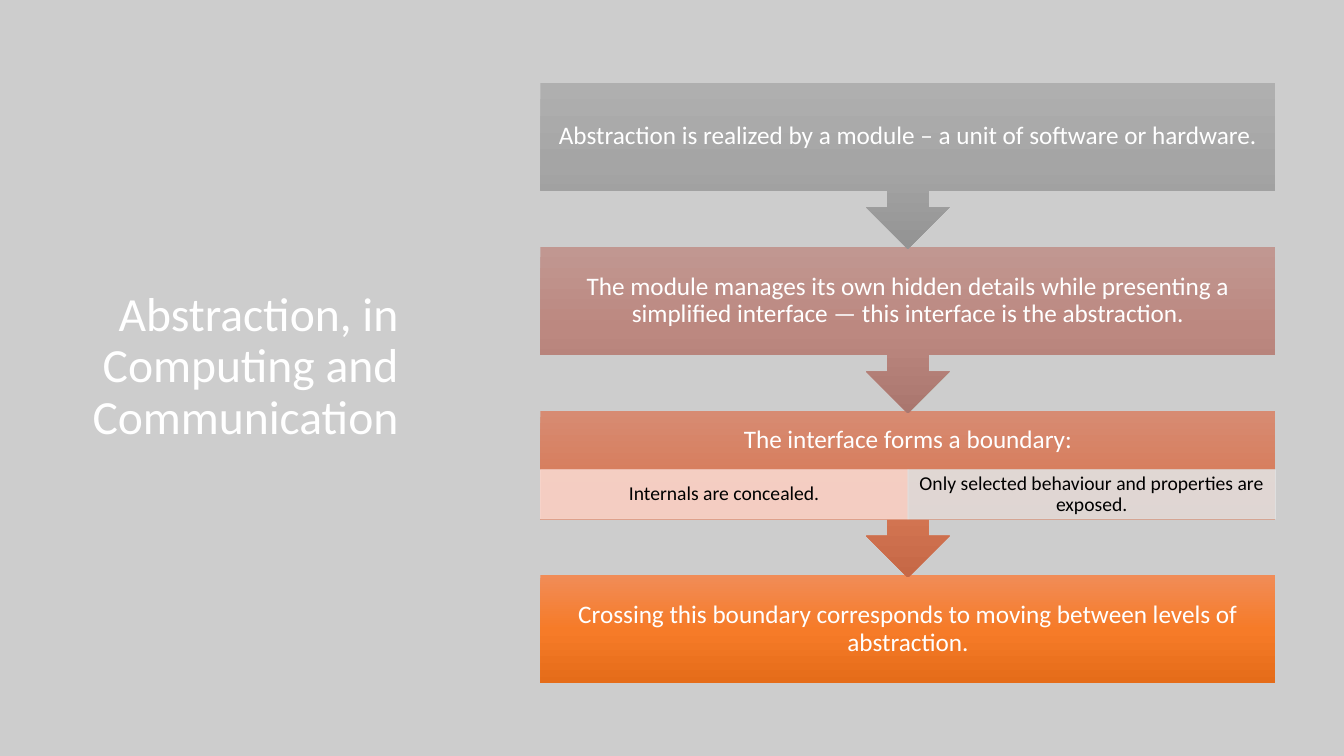
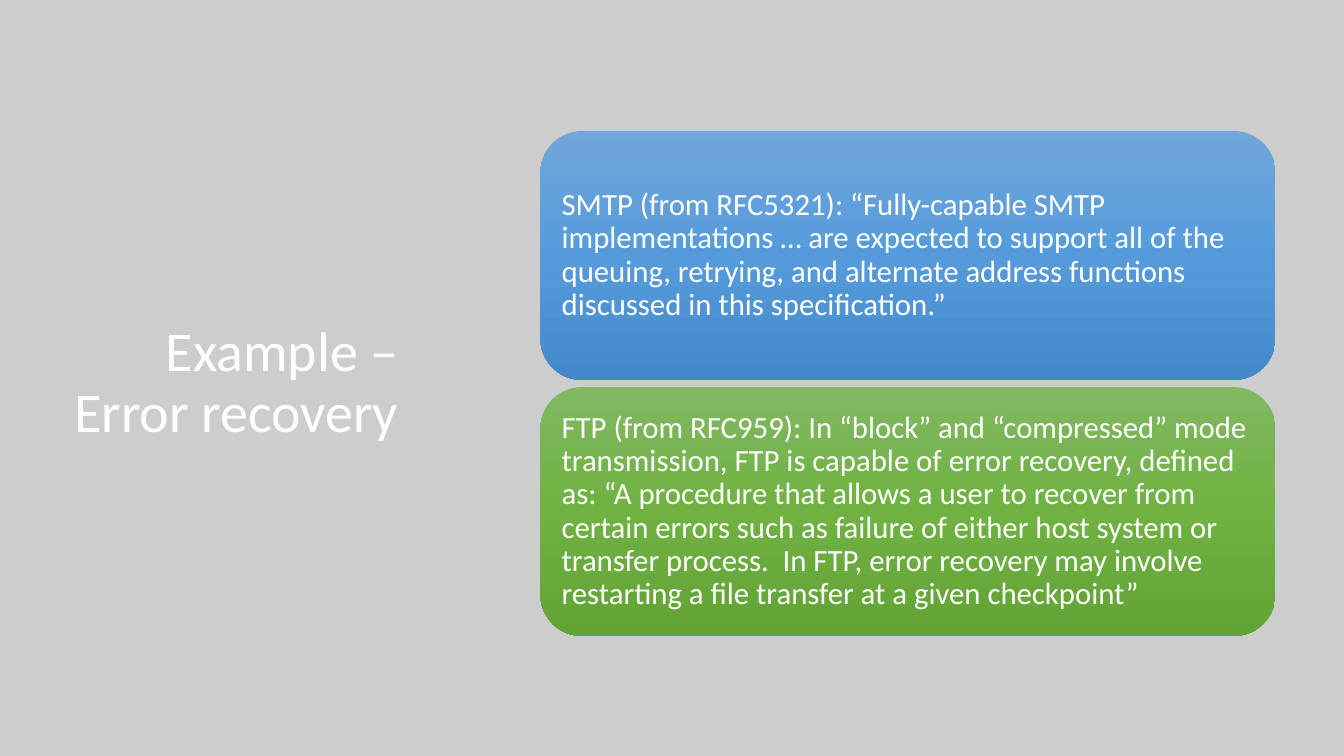
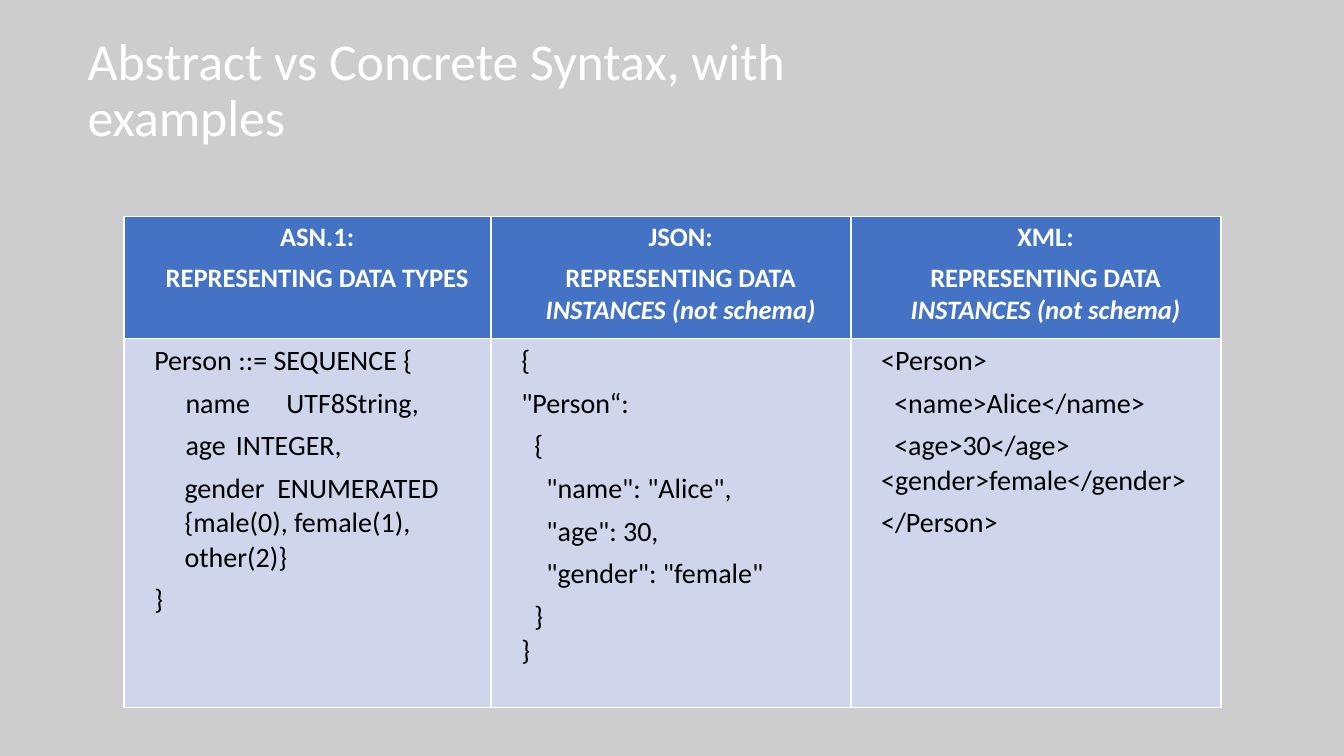
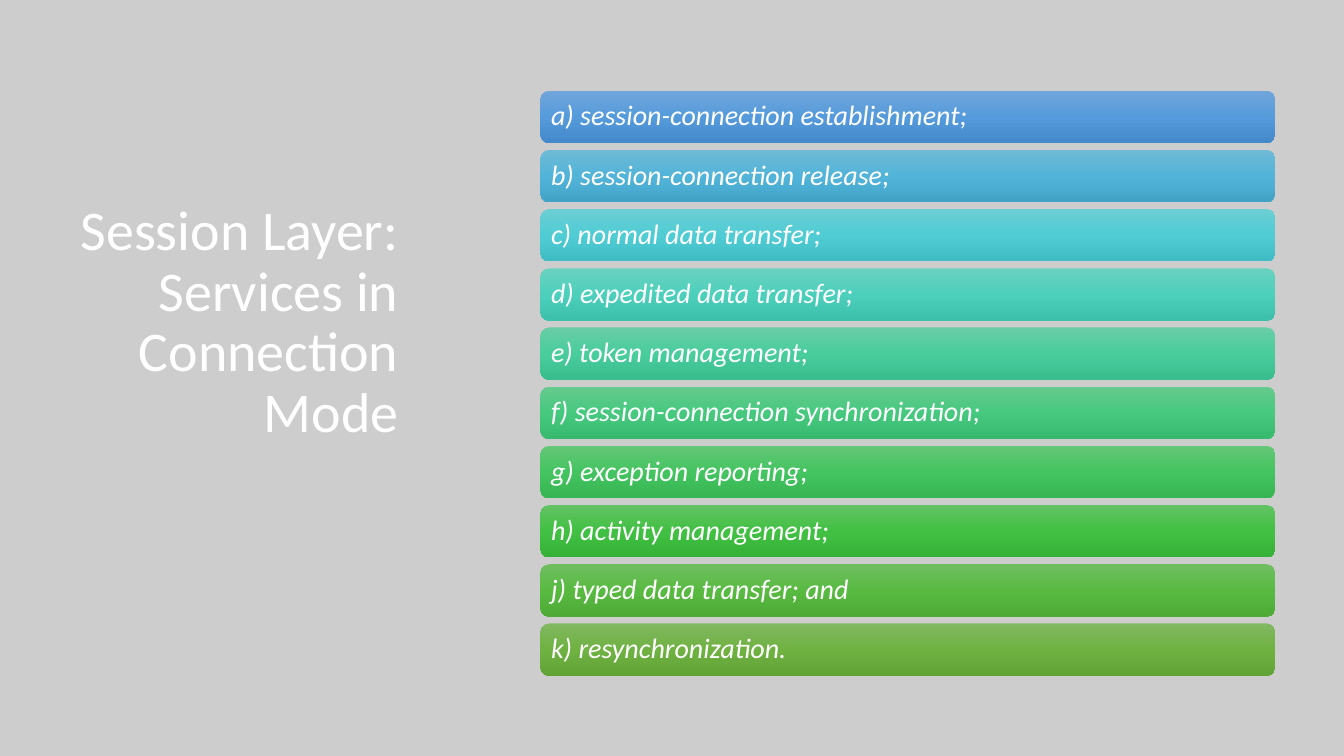
from copy import deepcopy

from lxml.etree import SubElement
from pptx import Presentation
from pptx.dml.color import RGBColor
from pptx.enum.shapes import MSO_SHAPE
from pptx.enum.text import MSO_ANCHOR, PP_ALIGN
from pptx.oxml.ns import qn
from pptx.util import Inches, Pt


class Theme:
    font = "Calibri"
    back, white, black = "CDCDCD", "FFFFFF", "000000"
    head, body = "4472C4", "CFD5EA"
    peach, mist = "F8D7CE", "E1E1E1"
    grey = "AFAFAF A5A5A5 939393"
    rose = "C19791 BC8880 AA766E"
    clay = "D78B72 D77956 C66846"
    orange = "F18C57 F67B28 E56C19"
    blue = "71A6DB 559BDB 448ACA"
    green = "81B861 6FB242 62A336"
    title, title_long, title_wide = 40, 34, 37
    step, detail, quote, item, cell_head, cell = 18, 14, 22, 20, 19, 20


# Slide size; every place below is in percent of it
W, H = 13.33, 7.5
prs = Presentation()
prs.slide_width, prs.slide_height = Inches(W), Inches(H)
bg = prs.slide_master.background.fill
bg.solid()
bg.fore_color.rgb = RGBColor.from_string(Theme.back)

PANEL_X, PANEL_W = 40.21, 54.69
TITLE_BOX = (4.8, 24.53, 25.58, 34.93)
TITLE = {"align": PP_ALIGN.RIGHT, "anchor": MSO_ANCHOR.BOTTOM, "insets": (0.1, 0.05, 0.1, 0.05)}
CENTRED = {"align": PP_ALIGN.CENTER, "anchor": MSO_ANCHOR.MIDDLE, "insets": (0.14,) * 4}


def set_format(obj, **values):
    for name, value in values.items():
        setattr(obj, name, value)


def add_block(s, kind, place, text, size, look, fill="", color=Theme.white, italic=False):
    """Add a shape, or a text box when kind is None, with one paragraph."""
    x, y, w, h = place
    at = [Inches(v / 100) for v in (x * W, y * H, w * W, h * H)]
    if kind is None:
        sp = s.shapes.add_textbox(*at)
    else:
        sp = s.shapes.add_shape(kind, *at)
        sp.shadow.inherit = False
        sp.line.fill.background()
        stops = fill.split()
        if len(stops) == 1:
            sp.fill.solid()
            sp.fill.fore_color.rgb = RGBColor.from_string(fill)
        else:
            sp.fill.gradient()
            sp.fill.gradient_angle = 270
            gs = sp._element.spPr.find(".//" + qn("a:gsLst"))
            gs.insert(1, deepcopy(gs[0]))
            for i, stop in enumerate(sp.fill.gradient_stops):
                stop.color.rgb = RGBColor.from_string(stops[i])
                stop.position = i / 2
    tf = sp.text_frame
    left, top, right, bottom = [Inches(v) for v in look["insets"]]
    set_format(tf, word_wrap=True, vertical_anchor=look["anchor"], margin_left=left,
               margin_top=top, margin_right=right, margin_bottom=bottom)
    p = tf.paragraphs[0]
    set_format(p, alignment=look["align"], line_spacing=0.9)
    r = p.add_run()
    r.text = text
    set_format(r.font, name=Theme.font, size=Pt(size), italic=italic)
    r.font.color.rgb = RGBColor.from_string(color)
    return sp


# Slide 1: steps joined by arrow callouts, drawn from the bottom up
s = prs.slides.add_slide(prs.slide_layouts[6])
add_block(s, None, TITLE_BOX, "Abstraction, in Computing and Communication", Theme.title_long, TITLE)
STEP_Y, STEP_PITCH, STEP_H, CALLOUT_H = 10.93, 21.73, 14.27, 22
DETAIL_Y, DETAIL_H = 62.13, 6.53
steps = [
    ("Abstraction is realized by a module – a unit of software or hardware.", Theme.grey),
    ("The module manages its own hidden details while presenting a simplified interface"
     " — this interface is the abstraction.", Theme.rose),
    ("The interface forms a boundary:", Theme.clay),
    ("Crossing this boundary corresponds to moving between levels of abstraction.", Theme.orange),
]
raised = {**CENTRED, "insets": (0.14, 0.14, 0.14, 0.63)}
for i, (text, fill) in reversed(list(enumerate(steps))):
    last = i == len(steps) - 1
    kind = MSO_SHAPE.RECTANGLE if last else MSO_SHAPE.DOWN_ARROW_CALLOUT
    place = (PANEL_X, STEP_Y + i * STEP_PITCH, PANEL_W, STEP_H if last else CALLOUT_H)
    add_block(s, kind, place, text, Theme.step, raised if i == 2 else CENTRED, fill)

details = [("Internals are concealed.", Theme.peach),
           ("Only selected behaviour and properties are exposed.", Theme.mist)]
tight = {**CENTRED, "insets": (0.11, 0.02, 0.11, 0.02)}
for i, (text, fill) in enumerate(details):
    place = (PANEL_X + i * PANEL_W / 2, DETAIL_Y, PANEL_W / 2, DETAIL_H)
    sp = add_block(s, MSO_SHAPE.RECTANGLE, place, text, Theme.detail, tight, fill, Theme.black)
    sp.line.color.rgb = RGBColor.from_string(fill)
    sp.line.width = Pt(0.5)
    for clr in sp._element.spPr.iter(qn("a:srgbClr")):
        SubElement(clr, qn("a:alpha")).set("val", "90000")

# Slides 2 and 4: title at the left, a stack of rounded bars at the right
quotes = [
    ("SMTP (from RFC5321): “Fully-capable SMTP implementations … are expected to support all of"
     " the queuing, retrying, and alternate address functions discussed in this specification.”",
     Theme.blue),
    ("FTP (from RFC959): In “block” and “compressed” mode transmission, FTP is capable of error"
     " recovery, defined as: “A procedure that allows a user to recover from certain errors such"
     " as failure of either host system or transfer process.  In FTP, error recovery may involve"
     " restarting a file transfer at a given checkpoint”", Theme.green),
]
services = [
    ("a) session-connection establishment;", Theme.blue),
    ("b) session-connection release;", "6FBAD7 52B4D8 42A3C7"),
    ("c) normal data transfer;", "6CCED4 4FCCD4 3FBCC3"),
    ("d) expedited data transfer;", "6AD1C0 4CD0BC 3CC0AC"),
    ("e) token management;", "68CDA6 49CD9D 3ABD8E"),
    ("f) session-connection synchronization;", "66CA8E 46C97F 38B970"),
    ("g) exception reporting;", "64C677 44C460 36B552"),
    ("h) activity management;", "63C264 41C043 34B136"),
    ("j) typed data transfer; and", "70BE61 58BA41 4CAA35"),
    ("k) resynchronization.", Theme.green),
]
error_slide, table_slide, session_slide = [
    prs.slides.add_slide(prs.slide_layouts[6]) for _ in range(3)]
stacks = [
    (error_slide, "Example – Error recovery", quotes, 17.33, 33.87, 32.93, Theme.quote, 0.09, False),
    (session_slide, "Session Layer: Services in Connection Mode", services,
     12, 7.83, 6.93, Theme.item, 0.08, True),
]
for s, title, bars, top, pitch, height, size, inset, italic in stacks:
    add_block(s, None, TITLE_BOX, title, Theme.title, TITLE)
    look = {"align": PP_ALIGN.LEFT, "anchor": MSO_ANCHOR.MIDDLE, "insets": (inset,) * 4}
    for i, (text, fill) in enumerate(bars):
        add_block(s, MSO_SHAPE.ROUNDED_RECTANGLE, (PANEL_X, top + i * pitch, PANEL_W, height),
                  text, size, look, fill, italic=italic)

# Slide 3: syntax table
s = table_slide
wide = {**TITLE, "align": PP_ALIGN.LEFT, "anchor": MSO_ANCHOR.MIDDLE}
add_block(s, None, (5.78, 3.6, 57.91, 16.93), "Abstract vs Concrete Syntax, with examples",
          Theme.title_wide, wide)

# Each line: indent in inches, space after in points, text, italic text
BASE, IN1, IN2 = 0.19, 0.32, 0.44
TABS = (0.54, 1.43)
instances = (BASE, 6, "REPRESENTING DATA ", "INSTANCES (not schema)")
heads = [
    [(BASE, 6, "ASN.1:", ""), (BASE, 6, "REPRESENTING DATA TYPES", "")],
    [(BASE, 6, "JSON:", ""), instances],
    [(BASE, 6, "XML:", ""), instances],
]
bodies = [
    [(BASE, 6, "Person ::= SEQUENCE {", ""), (0, 6, "\tname\tUTF8String,", ""),
     (0, 6, "\tage\tINTEGER,", ""),
     (0.49, 6, "gender  ENUMERATED {male(0), female(1), other(2)}", ""), (BASE, 6, "}", "")],
    [(BASE, 6, "{", ""), (BASE, 6, '"Person“:', ""), (IN1, 6, "{", ""),
     (IN2, 6, '"name": "Alice",', ""), (IN2, 6, '"age": 30,', ""),
     (IN2, 6, '"gender": "female"', ""), (IN1, 0, "}", ""), (BASE, 6, "}", "")],
    [(BASE, 6, "<Person>", ""), (IN1, 6, "<name>Alice</name>", ""), (IN1, 0, "<age>30</age>", ""),
     (BASE, 6, "<gender>female</gender>", ""), (BASE, 6, "</Person>", "")],
]
col_widths, row_heights = (3.64, 3.57, 3.67), (1.21, 3.66)
table = s.shapes.add_table(2, 3, Inches(W * 0.0923), Inches(H * 0.2867),
                           Inches(sum(col_widths)), Inches(sum(row_heights))).table
for col, width in zip(table.columns, col_widths):
    col.width = Inches(width)
for row, height in zip(table.rows, row_heights):
    row.height = Inches(height)

row_looks = [
    (heads, Theme.head, Theme.white, Theme.cell_head, True, PP_ALIGN.CENTER),
    (bodies, Theme.body, Theme.black, Theme.cell, False, PP_ALIGN.LEFT),
]
for i, (cells, fill, color, size, bold, align) in enumerate(row_looks):
    for j, lines in enumerate(cells):
        cell = table.cell(i, j)
        cell.fill.solid()
        cell.fill.fore_color.rgb = RGBColor.from_string(fill)
        set_format(cell, margin_left=Inches(0.11), margin_right=Inches(0.11),
                   margin_top=Inches(0.05), margin_bottom=Inches(0.05))
        tf = cell.text_frame
        for n, (indent, after, plain, slanted) in enumerate(lines):
            p = tf.add_paragraph() if n else tf.paragraphs[0]
            set_format(p, alignment=align, space_after=Pt(after))
            pPr = p._p.get_or_add_pPr()
            pPr.set("marL", str(Inches(indent)))
            pPr.set("indent", "0")
            if "\t" in plain:
                tabs = SubElement(pPr, qn("a:tabLst"))
                for stop in TABS:
                    tab = SubElement(tabs, qn("a:tab"))
                    tab.set("pos", str(Inches(stop)))
                    tab.set("algn", "l")
            for text, italic in ((plain, False), (slanted, True)):
                if text:
                    r = p.add_run()
                    r.text = text
                    set_format(r.font, name=Theme.font, size=Pt(size), bold=bold, italic=italic)
                    r.font.color.rgb = RGBColor.from_string(color)

prs.save("out.pptx")
